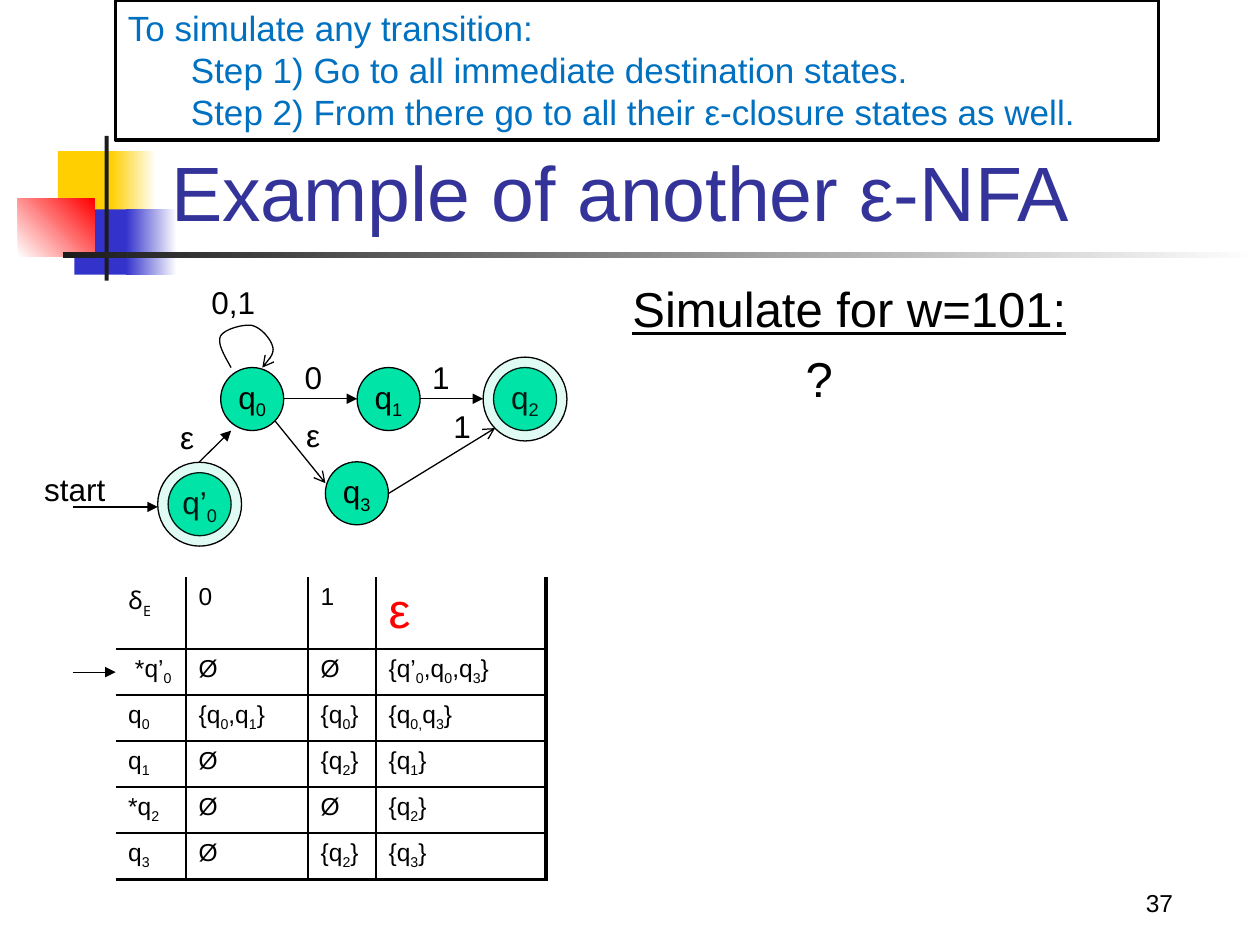
from dataclasses import dataclass

from lxml.etree import SubElement
from pptx import Presentation
from pptx.dml.color import RGBColor
from pptx.enum.shapes import MSO_CONNECTOR, MSO_SHAPE
from pptx.enum.text import MSO_ANCHOR, PP_ALIGN
from pptx.oxml.ns import qn
from pptx.util import Cm, Pt


@dataclass(frozen=True)
class Theme:
    font: str = "Arial"
    symbol_font: str = "Noto Sans"
    black: str = "000000"
    white: str = "FFFFFF"
    charcoal: str = "1C1C1C"
    yellow: str = "FFCF01"
    blue: str = "3333CC"
    red: str = "FF0000"
    title: str = "333399"
    banner: str = "0070C0"
    state: str = "00E4A8"
    title_size: float = 44
    body_size: float = 28
    banner_size: float = 20
    label_size: float = 18
    table_size: float = 14
    thin: float = 0.75
    grid: float = 1
    grid_edge: float = 2.25
    frame: float = 2


theme = Theme()


def write(frame, text, size, color=theme.black, font=theme.font, align=PP_ALIGN.LEFT, before=0):
    """Fill a text frame; parts between ~ marks are subscripts."""
    for number, line in enumerate(text.split("\n")):
        paragraph = frame.add_paragraph() if number else frame.paragraphs[0]
        paragraph.alignment = align
        paragraph.space_before = Pt(before)
        paragraph.font.size = Pt(size)
        paragraph.font.name = font
        paragraph.font.color.rgb = RGBColor.from_string(color)
        for part, piece in enumerate(line.split("~")):
            if piece:
                run = paragraph.add_run()
                run.text = piece
                if part % 2:
                    run.font._element.set("baseline", "-25000")


def outline(item, width=theme.thin, head=None):
    """Give a shape or connector a black line, an optional arrowhead and no shadow."""
    item.line.color.rgb = RGBColor.from_string(theme.black)
    item.line.width = Pt(width)
    if head:
        SubElement(item.line._get_or_add_ln(), qn("a:tailEnd"), type=head)
    SubElement(item._element.spPr, qn("a:effectLst"))


deck = Presentation()
deck.slide_width, deck.slide_height = Cm(25.4), Cm(19.05)
slide = deck.slides.add_slide(deck.slide_layouts[6])
shapes = slide.shapes

# Decoration beside the title: position, colours from start to end, angle
decoration = [
    ((1.17, 3.05, 1.22, 1.32), (theme.yellow,), 0),
    ((2.24, 3.05, 0.91, 1.32), (theme.yellow, theme.white), 0),
    ((1.5, 4.22, 1.17, 1.32), (theme.blue,), 0),
    ((2.54, 4.22, 1.02, 1.32), (theme.blue, theme.white), 0),
    ((0.36, 4.01, 1.55, 1.17), (theme.white, theme.red), 45),
    ((2.11, 2.74, 0.08, 2.92), (theme.charcoal,), 0),
    ((1.27, 5.08, 24.13, 0.13), (theme.charcoal, theme.white), 0),
]
for place, colors, angle in decoration:
    block = shapes.add_shape(MSO_SHAPE.RECTANGLE, *map(Cm, place))
    block.shadow.inherit = False
    block.line.fill.background()
    if len(colors) == 1:
        block.fill.solid()
        block.fill.fore_color.rgb = RGBColor.from_string(colors[0])
    else:
        block.fill.gradient()
        block.fill.gradient_angle = angle
        for stop, color in zip(block.fill.gradient_stops, colors):
            stop.color.rgb = RGBColor.from_string(color)

# Title and slide number
title = shapes.add_textbox(Cm(3.2), Cm(1.73), Cm(21.64), Cm(3.18)).text_frame
page = shapes.add_textbox(Cm(18.62), Cm(17.35), Cm(5.28), Cm(1.27)).text_frame
for frame in (title, page):
    frame.word_wrap = True
    frame.vertical_anchor = MSO_ANCHOR.BOTTOM
write(title, "Example of another ε-NFA", theme.title_size, theme.title)
write(page, "37", theme.table_size, align=PP_ALIGN.RIGHT)

# Exercise
exercise = shapes.add_textbox(Cm(12.5), Cm(5.5), Cm(10.58), Cm(2.12)).text_frame
exercise.word_wrap = True
write(exercise, "Simulate for w=101:\n\t\t\t?", theme.body_size, before=6)
exercise.paragraphs[0].font.underline = True
for paragraph in exercise.paragraphs:
    properties = paragraph._p.get_or_add_pPr()
    properties.set("marL", str(Cm(0.95)))
    properties.set("indent", str(-Cm(0.95)))

# Transition table
rows = [
    ("δ~E~", "0", "1", "ε"),
    (" *q’~0~", "Ø", "Ø", "{q’~0~,q~0~,q~3~}"),
    ("q~0~", "{q~0~,q~1~}", "{q~0~}", "{q~0,~q~3~}"),
    ("q~1~", "Ø", "{q~2~}", "{q~1~}"),
    ("*q~2~", "Ø", "Ø", "{q~2~}"),
    ("q~3~", "Ø", "{q~2~}", "{q~3~}"),
]
widths = [1.42, 2.46, 1.37, 3.43]
heights = [1.35] + [0.89] * 5
transitions = shapes.add_table(
    len(rows), len(widths), Cm(2.33), Cm(11.64), Cm(sum(widths)), Cm(sum(heights))
).table
transitions.first_row = transitions.horz_banding = False
NO_STYLE = "{2D5ABB26-0587-4C30-8999-92F81FD0307C}"
transitions._tbl.tblPr.find(qn("a:tableStyleId")).text = NO_STYLE
for column, width in zip(transitions.columns, widths):
    column.width = Cm(width)
for r, row in enumerate(rows):
    transitions.rows[r].height = Cm(heights[r])
    for c, text in enumerate(row):
        cell = transitions.cell(r, c)
        if text == "ε":
            write(cell.text_frame, text, theme.body_size, theme.red, before=1.8)
        else:
            font = theme.font if r or c else theme.symbol_font
            write(cell.text_frame, text, theme.table_size, font=font, before=1.8)
        borders = {
            "a:lnL": theme.grid if c else 0,
            "a:lnR": theme.grid if c < len(row) - 1 else theme.grid_edge,
            "a:lnT": theme.grid if r else 0,
            "a:lnB": theme.grid if r < len(rows) - 1 else theme.grid_edge,
        }
        for side, width in borders.items():
            if width:
                edge = SubElement(cell._tc.get_or_add_tcPr(), qn(side), w=str(Pt(width)))
                SubElement(SubElement(edge, qn("a:solidFill")), qn("a:srgbClr"), val=theme.black)
        cell.fill.background()

# States, with a translucent ring around the accepting ones
state_size, ring_gap = 1.27, 0.21
states = [
    ("q~0~", 4.45, 7.41, False),
    ("q~1~", 7.2, 7.41, False),
    ("q~2~", 9.95, 7.41, True),
    ("q’~0~", 3.39, 9.53, True),
    ("q~3~", 6.56, 9.31, False),
]
for name, left, top, accepting in states:
    for gap in (0, ring_gap) if accepting else (0,):
        side = Cm(state_size + 2 * gap)
        circle = shapes.add_shape(MSO_SHAPE.OVAL, Cm(left - gap), Cm(top - gap), side, side)
        circle.fill.solid()
        circle.fill.fore_color.rgb = RGBColor.from_string(theme.state)
        outline(circle)
        if gap:
            tint = circle._element.spPr.find(qn("a:solidFill"))[0]
            SubElement(tint, qn("a:alpha"), val="12000")
        else:
            circle.text_frame.word_wrap = False
            circle.text_frame.vertical_anchor = MSO_ANCHOR.MIDDLE
            write(circle.text_frame, name, theme.label_size, align=PP_ALIGN.CENTER)

# Transition arrows and start markers
arrows = [
    (1.47, 13.55, 2.33, 13.55, "triangle"),
    (1.47, 10.22, 3.18, 10.22, "triangle"),
    (5.72, 8.04, 7.2, 8.04, "triangle"),
    (8.47, 8.04, 9.74, 8.04, "triangle"),
    (4.02, 9.31, 4.66, 8.68, "triangle"),
    (5.54, 8.48, 6.56, 9.74, "arrow"),
    (7.83, 9.95, 9.98, 8.63, "arrow"),
]
for *ends, head in arrows:
    outline(shapes.add_connector(MSO_CONNECTOR.STRAIGHT, *map(Cm, ends)), head=head)

# Loop on q0, traced along its Bézier curves
loop_start = (4.66, 7.41)
curves = [
    ((4.52, 7.16), (4.37, 6.91), (4.45, 6.77)),
    ((4.52, 6.64), (4.9, 6.53), (5.08, 6.56)),
    ((5.26, 6.6), (5.46, 6.83), (5.5, 6.99)),
    ((5.54, 7.14), (5.41, 7.26), (5.29, 7.41)),
]
steps, trace, last = 8, [], loop_start
for a, b, end in curves:
    for t in (step / steps for step in range(1, steps + 1)):
        weights = ((1 - t) ** 3, 3 * t * (1 - t) ** 2, 3 * t**2 * (1 - t), t**3)
        trace.append([Cm(sum(w * v for w, v in zip(weights, axis))) for axis in zip(last, a, b, end)])
    last = end
builder = shapes.build_freeform(*map(Cm, loop_start))
builder.add_line_segments(trace, close=False)
loop = builder.convert_to_shape()
loop.fill.background()
outline(loop, head="arrow")

# Arrow labels
labels = [
    ("start", 0.64, 9.35, 1.75),
    ("0", 5.89, 7.09, 0.86),
    ("0,1", 4.01, 5.59, 1.4),
    ("1", 8.46, 7.09, 0.86),
    ("ε", 3.38, 8.31, 0.79),
    ("ε", 5.92, 8.26, 0.79),
    ("1", 8.89, 8.08, 0.86),
]
for text, left, top, width in labels:
    label = shapes.add_textbox(Cm(left), Cm(top), Cm(width), Cm(1.02)).text_frame
    label.word_wrap = False
    write(label, text, theme.label_size)

# Banner with the simulation rule
banner = shapes.add_shape(MSO_SHAPE.RECTANGLE, Cm(2.33), Cm(0), Cm(21.03), Cm(2.82))
banner.fill.solid()
banner.fill.fore_color.rgb = RGBColor.from_string(theme.white)
outline(banner, theme.frame)
banner.text_frame.word_wrap = False
banner.text_frame.vertical_anchor = MSO_ANCHOR.TOP
rule = (
    "To simulate any transition:\n"
    "\tStep 1) Go to all immediate destination states.\n"
    "\tStep 2) From there go to all their ε-closure states as well."
)
write(banner.text_frame, rule, theme.banner_size, theme.banner)

deck.save("out.pptx")
